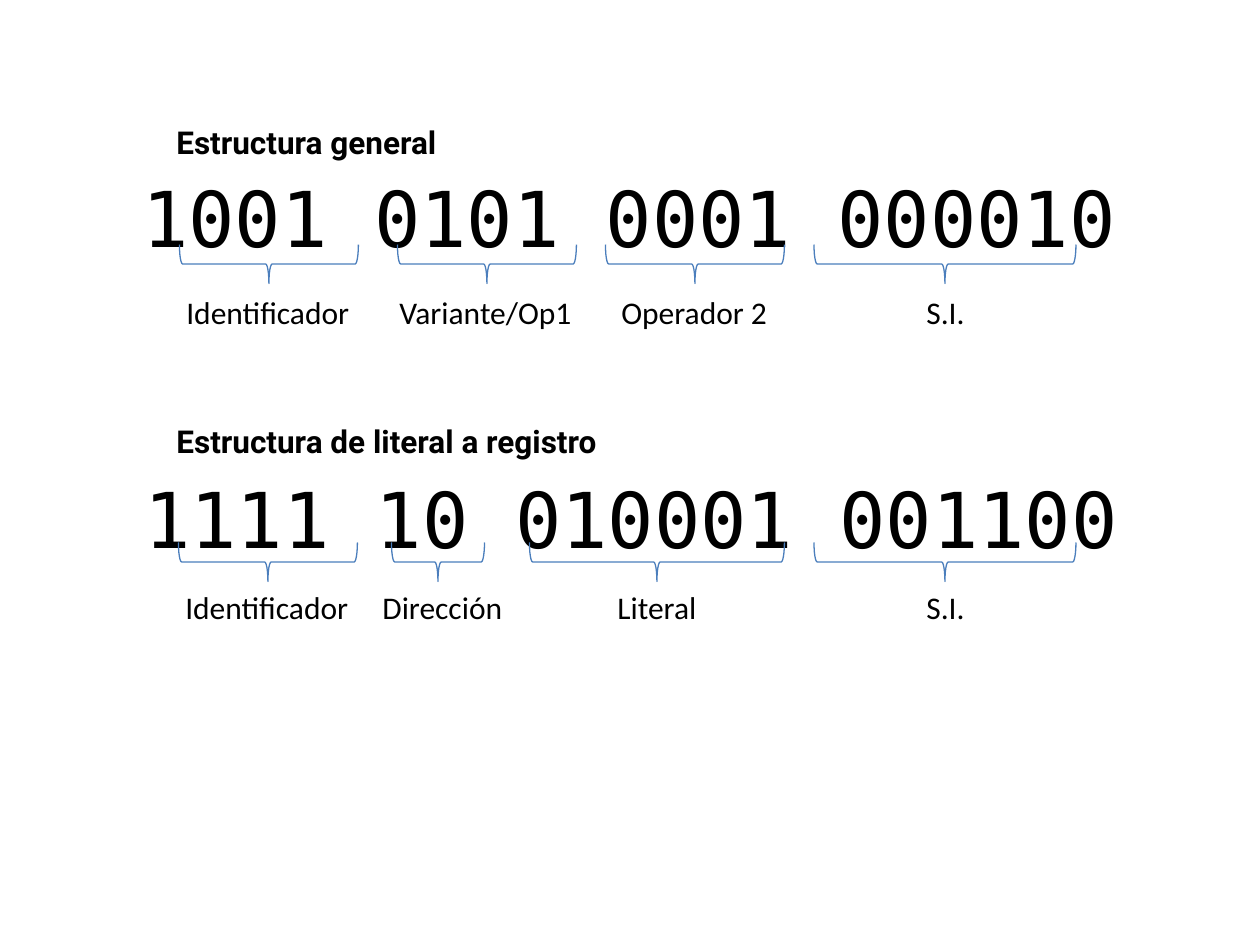
from pptx import Presentation
from pptx.dml.color import RGBColor
from pptx.enum.shapes import MSO_SHAPE
from pptx.enum.text import MSO_ANCHOR, MSO_AUTO_SIZE, PP_ALIGN
from pptx.util import Emu, Pt

PIXEL = 914400 // 126
BLACK, BLUE = "000000", "4B7EBC"
BRACE_DEPTH = 39
DIGITS = {"name": "DejaVu Sans Mono", "size": Pt(44), "bold": False}
LABEL = {"name": "Calibri", "size": Pt(18)}
HEADING = {"name": "Roboto", "size": Pt(18), "bold": True}

# Each field: label, label left, label width, brace centre, brace span
GENERAL = {
    "heading": "Estructura general", "heading_width": 300,
    "digits": "1001 0101 0001 000010", "digits_box": (94, 115, 1071, 203),
    "heading_top": 117, "brace_middle": 264, "label_top": 287,
    "fields": [("Identificador", 174, 190, 269, 179),
               ("Variante/Op1", 387, 199, 487, 179),
               ("Operador 2", 609, 173, 695, 179),
               ("S.I.", 914, 64, 945, 262)],
}
LITERAL = {
    "heading": "Estructura de literal a registro", "heading_width": 475,
    "digits": "1111 10 010001 001100", "digits_box": (96, 416, 1071, 203),
    "heading_top": 416, "brace_middle": 562, "label_top": 582,
    "fields": [("Identificador", 173, 190, 268, 179),
               ("Dirección", 370, 146, 438, 93),
               ("Literal", 605, 106, 657, 255),
               ("S.I.", 914, 64, 945, 262)],
}


def px(length):
    """Turn pixels into EMU."""
    return Emu(int(length * PIXEL))


def color(value):
    """Turn a hex string into a colour."""
    return RGBColor.from_string(value)


def place(shape, left, top, width, height):
    """Set the position and size of a shape in pixels."""
    box = {"left": left, "top": top, "width": width, "height": height}
    for name, length in box.items():
        setattr(shape, name, px(length))


def write(shape, text, font_format, frame_format, alignment=PP_ALIGN.LEFT):
    """Put one formatted line of text into a shape."""
    frame = shape.text_frame
    for name, value in frame_format.items():
        setattr(frame, name, value)
    paragraph = frame.paragraphs[0]
    paragraph.alignment = alignment
    run = paragraph.add_run()
    run.text = text
    for name, value in font_format.items():
        setattr(run.font, name, value)
    run.font.color.rgb = color(BLACK)


def add_line(slide, text, left, top, width, font_format):
    """Add a single-line text box."""
    box = slide.shapes.add_textbox(*map(px, (left, top, width, 50)))
    write(box, text, font_format,
          {"word_wrap": False, "auto_size": MSO_AUTO_SIZE.SHAPE_TO_FIT_TEXT})


def write_digits(shape, text, box):
    """Place and write a row of large binary digits."""
    place(shape, *box)
    write(shape, text, DIGITS,
          {"word_wrap": True, "auto_size": MSO_AUTO_SIZE.NONE,
           "vertical_anchor": MSO_ANCHOR.MIDDLE}, PP_ALIGN.CENTER)


def add_brace(slide, center, middle, span):
    """Add a brace that opens upwards over a span of digits."""
    brace = slide.shapes.add_shape(
        MSO_SHAPE.LEFT_BRACE, px(center - BRACE_DEPTH / 2),
        px(middle - span / 2), px(BRACE_DEPTH), px(span))
    brace.rotation = 270
    brace.shadow.inherit = False
    brace.fill.background()
    brace.line.color.rgb = color(BLUE)
    brace.line.width = Pt(0.75)


def add_structure(slide, digits_shape, structure):
    """Add digits, braces, labels and heading of one instruction."""
    write_digits(digits_shape, structure["digits"], structure["digits_box"])
    for label, left, width, center, span in structure["fields"]:
        add_brace(slide, center, structure["brace_middle"], span)
        add_line(slide, label, left, structure["label_top"], width, LABEL)
    add_line(slide, structure["heading"], 164, structure["heading_top"],
             structure["heading_width"], HEADING)


def main():
    """Build and save the slide."""
    presentation = Presentation()
    presentation.slide_width, presentation.slide_height = px(1260), px(945)
    slide = presentation.slides.add_slide(presentation.slide_layouts[5])
    add_structure(slide, slide.shapes.title, GENERAL)
    literal_digits = slide.shapes.add_textbox(0, 0, 0, 0)
    add_structure(slide, literal_digits, LITERAL)
    presentation.save("out.pptx")


main()
